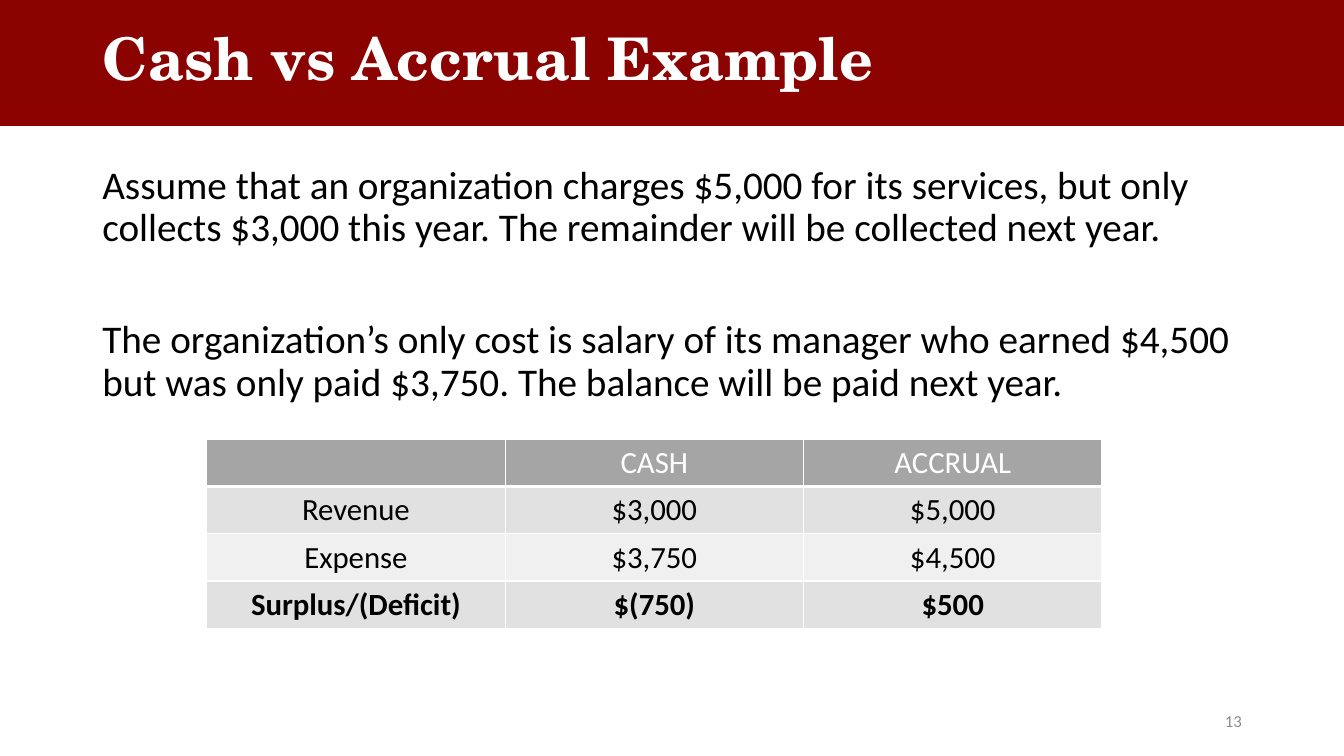
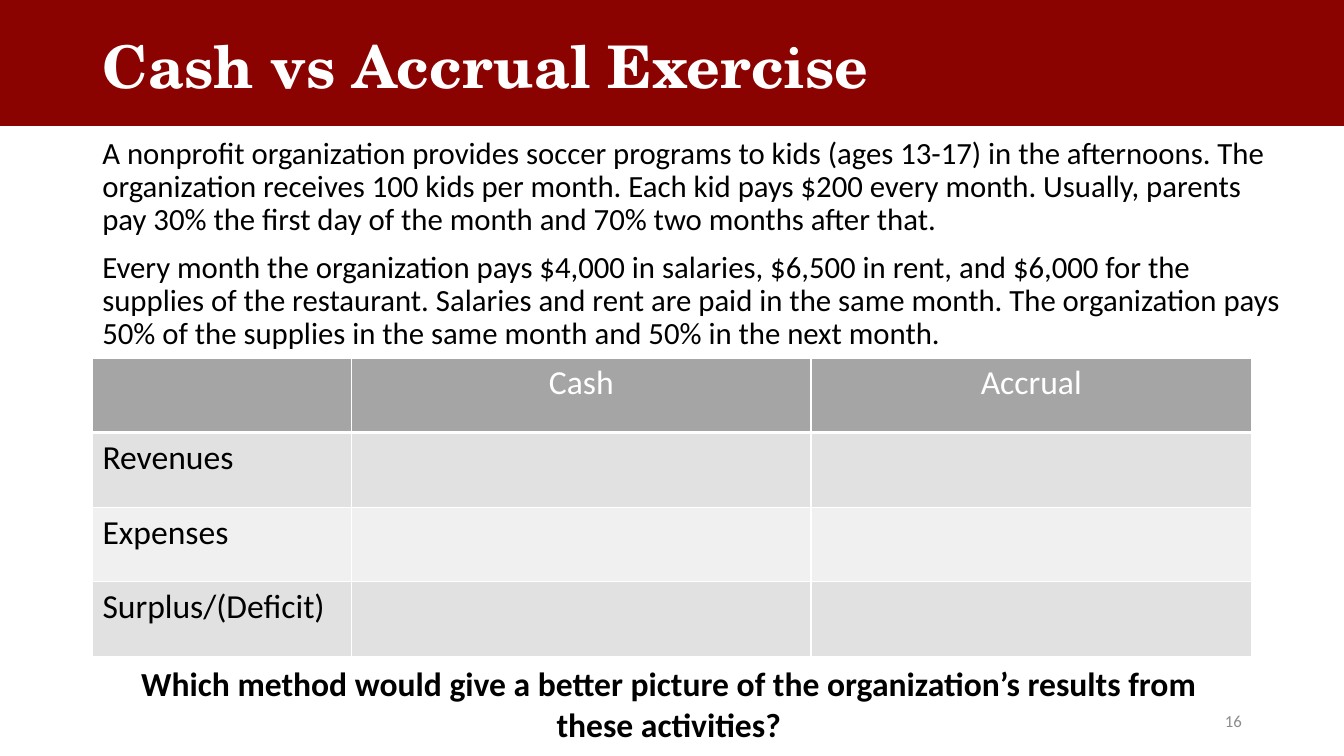
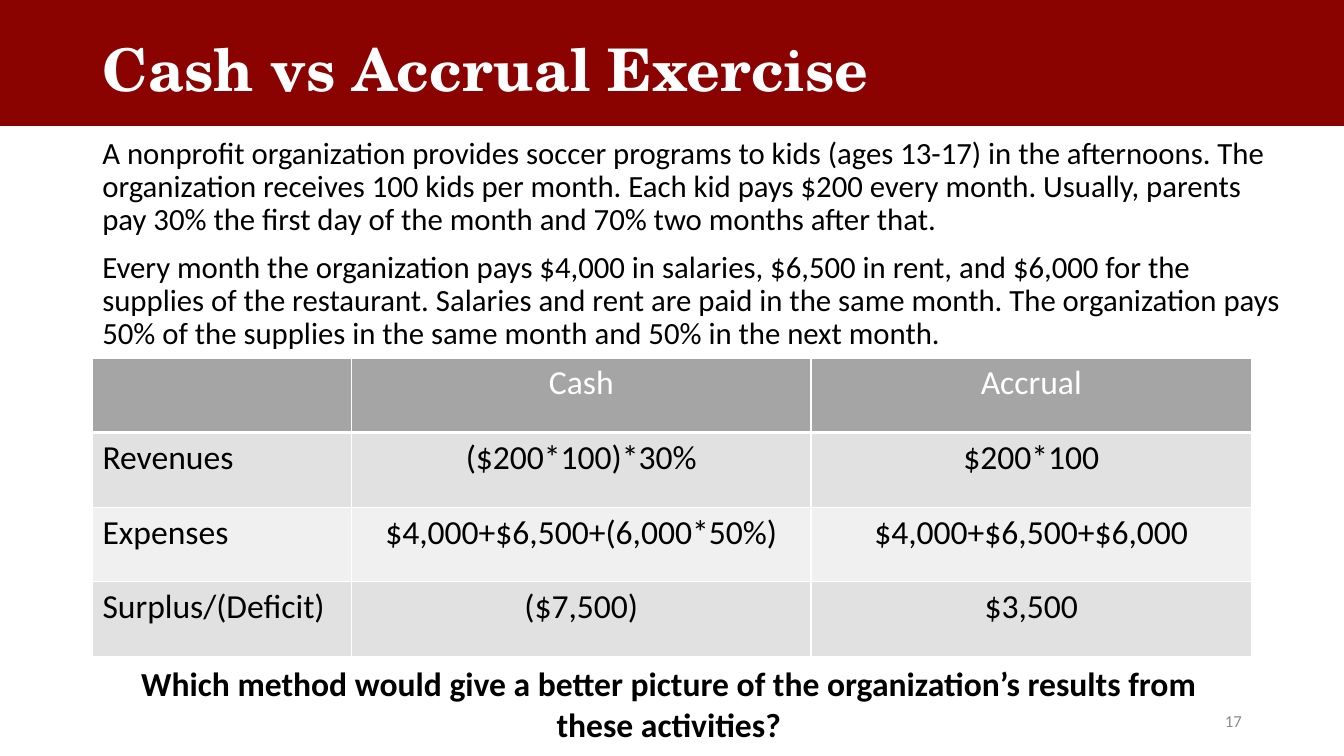
from lxml.etree import SubElement
from pptx import Presentation
from pptx.dml.color import RGBColor
from pptx.enum.shapes import MSO_SHAPE as SHAPE
from pptx.enum.text import MSO_ANCHOR as ANCHOR, MSO_AUTO_SIZE as AUTO, PP_ALIGN as ALIGN
from pptx.oxml.ns import qn
from pptx.util import Cm, Pt

TITLE_ONLY = 5
LEFT = 2.33
CONTENT_W = 29.21


def rgb(hex_color):
    return RGBColor.from_string(hex_color)


def set_borders(cell, color, bottom=1):
    """Draw 1 pt lines around a cell; the bottom one may be thicker."""
    tc_pr = cell._tc.get_or_add_tcPr()
    for tag, width in (("lnL", 1), ("lnR", 1), ("lnT", 1), ("lnB", bottom)):
        ln = SubElement(tc_pr, qn("a:" + tag), w=str(Pt(width)))
        fill = SubElement(ln, qn("a:solidFill"))
        SubElement(fill, qn("a:srgbClr"), val=color)


class Deck:
    RED, WHITE, BLACK, GREY = "8B0301", "FFFFFF", "000000", "8C8C8C"
    HEADER, BANDS = "A5A5A5", ("E1E1E1", "F0F0F0")
    BODY_FONT, TITLE_FONT = "Calibri", "TeX Gyre Schola"

    def __init__(self):
        self.prs = Presentation()
        self.prs.slide_width, self.prs.slide_height = Cm(33.87), Cm(19.05)
        self.slide = None

    def add_slide(self, title, title_top, number):
        self.slide = self.prs.slides.add_slide(self.prs.slide_layouts[TITLE_ONLY])
        self.band()
        self.title(title, title_top)
        self.text([str(number)], 23.93, 17.65, 7.62, 1.02, 12, color=self.GREY,
                  align=ALIGN.RIGHT, anchor=ANCHOR.MIDDLE)

    def band(self):
        sp = self.slide.shapes.add_shape(SHAPE.RECTANGLE, 0, 0, self.prs.slide_width, Cm(3.15))
        sp.shadow.inherit = False
        sp.fill.solid()
        sp.fill.fore_color.rgb = sp.line.color.rgb = rgb(self.RED)
        sp.line.width = Pt(1)
        self.slide.shapes.title._element.addprevious(sp._element)

    def title(self, text, top):
        sp = self.slide.shapes.title
        sp.left, sp.top, sp.width, sp.height = Cm(LEFT), Cm(top), Cm(CONTENT_W), Cm(1.96)
        tf = sp.text_frame
        tf.text = text
        tf.auto_size, tf.vertical_anchor = AUTO.NONE, ANCHOR.MIDDLE
        p = tf.paragraphs[0]
        p.line_spacing = 0.9
        self.style(p, 42, self.WHITE, True, ALIGN.LEFT, self.TITLE_FONT)

    def style(self, p, size, color, bold=False, align=ALIGN.LEFT, font=BODY_FONT):
        p.alignment = align
        for r in p.runs:
            r.font.name, r.font.size, r.font.bold = font, Pt(size), bold
            r.font.color.rgb = rgb(color)

    def text(self, paragraphs, left, top, width, height, size, color=BLACK, bold=False,
             align=ALIGN.LEFT, anchor=ANCHOR.TOP, line=1.0, gap=0):
        """Add a text box; gap is the space in points between paragraphs."""
        tf = self.slide.shapes.add_textbox(Cm(left), Cm(top), Cm(width), Cm(height)).text_frame
        tf.word_wrap, tf.vertical_anchor = True, anchor
        for i, content in enumerate(paragraphs):
            p = tf.add_paragraph() if i else tf.paragraphs[0]
            p.text = content
            p.line_spacing = line
            p.space_before = Pt(gap if i else 0)
            self.style(p, size, color, bold, align)

    def table(self, rows, left, top, widths, row_height, size,
              label_align=ALIGN.LEFT, bold_total=False):
        """Add a table with a header row, banded rows and a label column."""
        table = self.slide.shapes.add_table(
            len(rows), len(widths), Cm(left), Cm(top),
            Cm(sum(widths)), Cm(row_height * len(rows))).table
        table.first_row = table.horz_banding = False
        for column, width in zip(table.columns, widths):
            column.width = Cm(width)
        for i, row in enumerate(rows):
            table.rows[i].height = Cm(row_height)
            header, total = i == 0, i == len(rows) - 1
            for j, content in enumerate(row):
                cell = table.cell(i, j)
                cell.text = content
                set_borders(cell, self.WHITE, 3 if header else 1)
                cell.fill.solid()
                cell.fill.fore_color.rgb = rgb(self.HEADER if header else self.BANDS[(i - 1) % 2])
                self.style(cell.text_frame.paragraphs[0], size,
                           self.WHITE if header else self.BLACK,
                           bold_total and total, ALIGN.CENTER if j else label_align)


EXAMPLE = [
    "Assume that an organization charges $5,000 for its services, but only collects $3,000 "
    "this year. The remainder will be collected next year.",
    "The organization’s only cost is salary of its manager who earned $4,500 but was only "
    "paid $3,750. The balance will be paid next year.",
]
EXAMPLE_TABLE = [
    ("", "CASH", "ACCRUAL"),
    ("Revenue", "$3,000", "$5,000"),
    ("Expense", "$3,750", "$4,500"),
    ("Surplus/(Deficit)", "$(750)", "$500"),
]
EXERCISE = [
    "A nonprofit organization provides soccer programs to kids (ages 13-17) in the afternoons. "
    "The organization receives 100 kids per month. Each kid pays $200 every month. Usually, "
    "parents pay 30% the first day of the month and 70% two months after that.",
    "Every month the organization pays $4,000 in salaries, $6,500 in rent, and $6,000 for the "
    "supplies of the restaurant. Salaries and rent are paid in the same month. The organization "
    "pays 50% of the supplies in the same month and 50% in the next month.",
]
QUESTION = ("Which method would give a better picture of the organization’s results "
            "from these activities?")
LABELS = ("Revenues", "Expenses", "Surplus/(Deficit)")
BLANK = [("", "")] * 3
ANSWERS = [
    ("($200*100)*30%", "$200*100"),
    ("$4,000+$6,500+(6,000*50%)", "$4,000+$6,500+$6,000"),
    ("($7,500)", "$3,500"),
]


def main():
    deck = Deck()

    deck.add_slide("Cash vs Accrual Example", 0.58, 13)
    deck.text(EXAMPLE, LEFT, 4.04, CONTENT_W, 7.04, 28, line=0.9, gap=50)
    deck.table(EXAMPLE_TABLE, 5.21, 11.07, [7.52] * 3, 1.19, 22,
               label_align=ALIGN.CENTER, bold_total=True)

    for number, title_top, results in ((16, 0.76, BLANK), (17, 0.84, ANSWERS)):
        deck.add_slide("Cash vs Accrual Exercise", title_top, number)
        deck.text(EXERCISE, LEFT, 3.35, 30.4, 5.11, 22, line=0.9, gap=10)
        rows = [("", "Cash", "Accrual")]
        rows += [(label, *values) for label, values in zip(LABELS, results)]
        deck.table(rows, LEFT, 9.02, [6.53, 11.58, 11.1], 1.88, 24)
        deck.text([QUESTION], 2.72, 16.59, 28.27, 2.31, 24, bold=True, align=ALIGN.CENTER)

    deck.prs.save("out.pptx")


if __name__ == "__main__":
    main()
